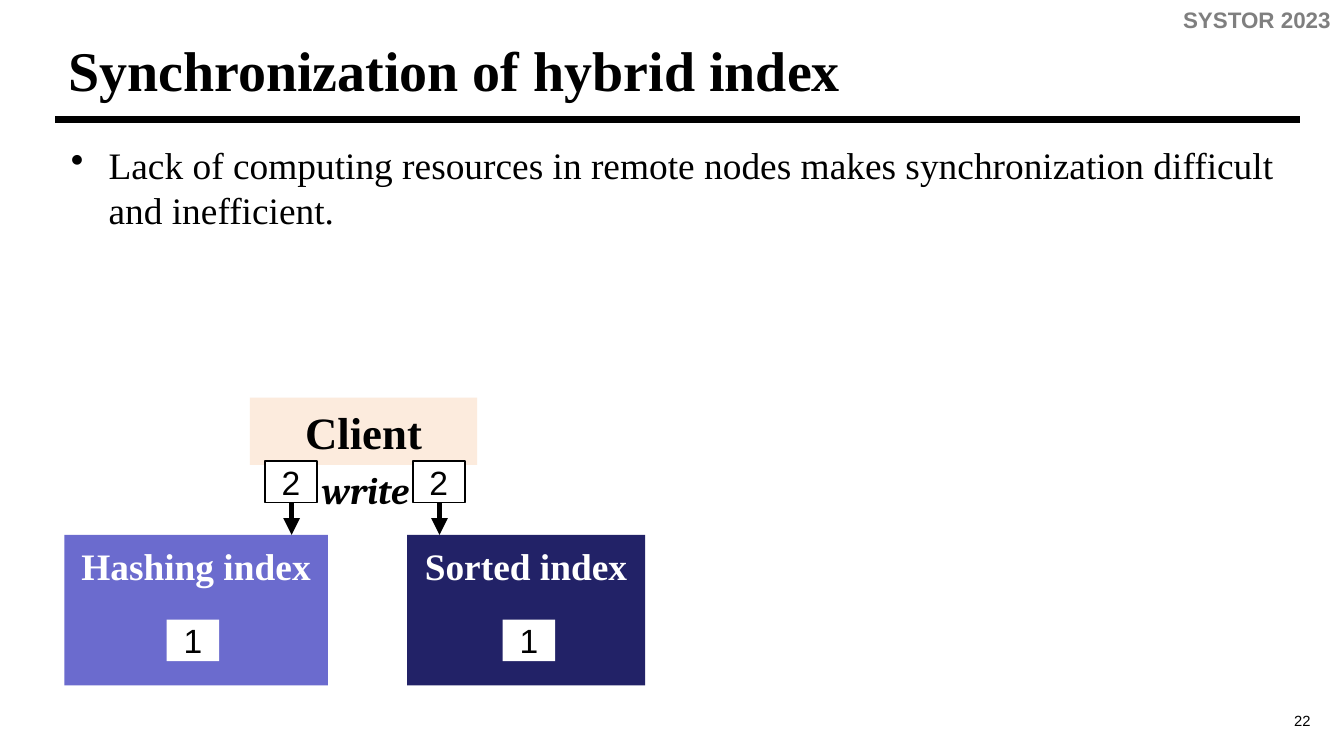
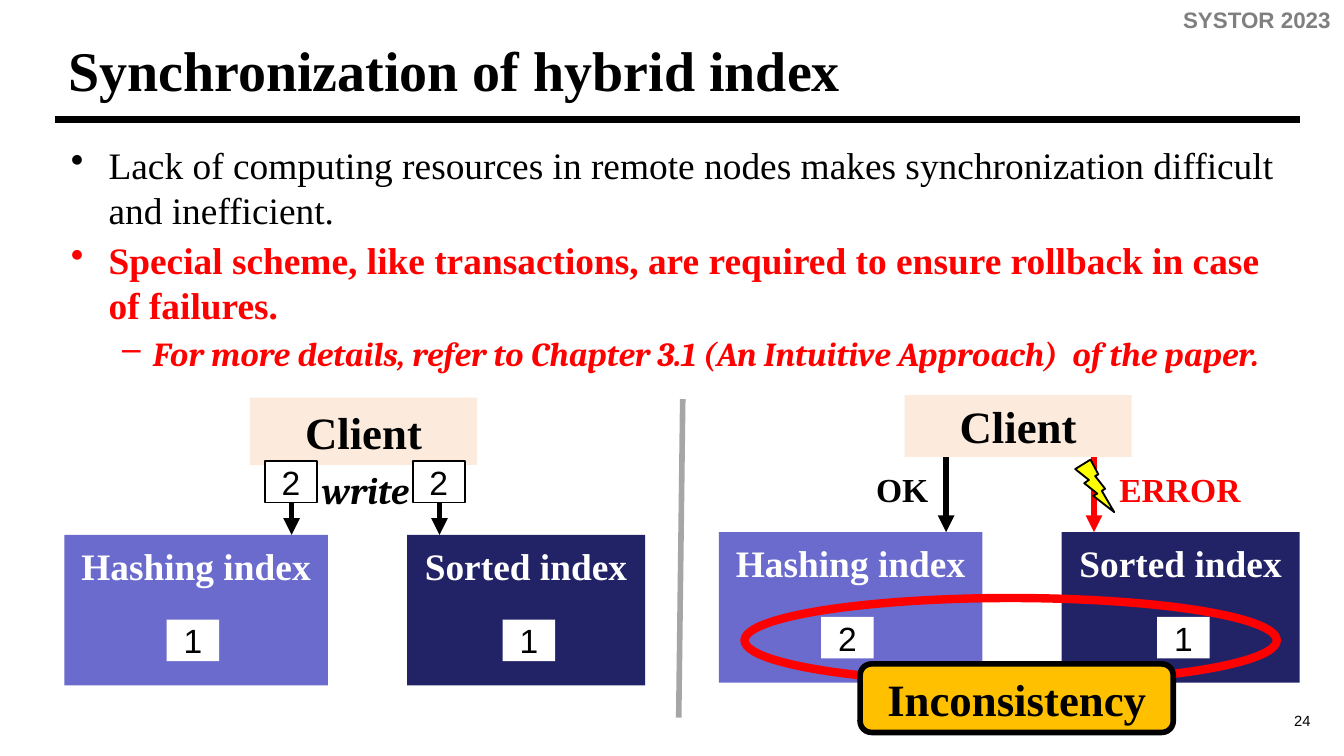
"""Builds two slides on keeping a hybrid index synchronized."""
from lxml import etree
from pptx import Presentation
from pptx.dml.color import RGBColor
from pptx.enum.shapes import MSO_CONNECTOR, MSO_SHAPE
from pptx.enum.text import MSO_ANCHOR, PP_ALIGN
from pptx.oxml.ns import qn
from pptx.util import Pt

PX = 9144
RECT, ROUNDED = MSO_SHAPE.RECTANGLE, MSO_SHAPE.ROUNDED_RECTANGLE
ELLIPSE, BOLT = MSO_SHAPE.OVAL, MSO_SHAPE.LIGHTNING_BOLT
STRAIGHT = MSO_CONNECTOR.STRAIGHT
TOP, MIDDLE = MSO_ANCHOR.TOP, MSO_ANCHOR.MIDDLE
LEFT, CENTER, RIGHT = PP_ALIGN.LEFT, PP_ALIGN.CENTER, PP_ALIGN.RIGHT
SERIF, SANS, ACCENT = "Times New Roman", "Arial", "Cambria"
BLACK, WHITE, RED, GRAY, RULE_GRAY = "000000", "FFFFFF", "FF0000", "7F7F7F", "A6A6A6"
VIOLET, NAVY, PEACH, YELLOW, AMBER = "6B6BCE", "222267", "FCEBDD", "FFFF00", "FFC000"
color = RGBColor.from_string


def add_text(page, text, at=None, box=None, shape=None, fill=None, line=None, weight=1,
             font=SERIF, size=20, ink=BLACK, bold=False, italic=False,
             align=CENTER, anchor=TOP, inset=5):
    """Write a paragraph in a new text box or shape, or add it to a given box."""
    if box is None:
        place = [value * PX for value in at]
        box = page.shapes.add_shape(shape, *place) if shape else page.shapes.add_textbox(*place)
        if shape:
            box.shadow.inherit = False
        if fill:
            box.fill.solid()
            box.fill.fore_color.rgb = color(fill)
        else:
            box.fill.background()
        if line:
            box.line.color.rgb = color(line)
            box.line.width = Pt(weight)
        else:
            box.line.fill.background()
        frame = box.text_frame
        frame.word_wrap = True
        frame.vertical_anchor = anchor
        frame.margin_top = inset * PX
        para = frame.paragraphs[0]
    else:
        para = box.text_frame.add_paragraph()
    if text:
        para.alignment = align
        span = para.add_run()
        span.text = text
        span.font.name, span.font.size = font, Pt(size)
        span.font.bold, span.font.italic = bold, italic
        span.font.color.rgb = color(ink)
    return box


def add_line(page, start, end, ink=BLACK, weight=3, arrow=False):
    """Draw a straight line, with an arrowhead at its end if asked."""
    ends = [value * PX for value in (*start, *end)]
    connector = page.shapes.add_connector(STRAIGHT, *ends)
    connector.line.color.rgb = color(ink)
    connector.line.width = Pt(weight)
    if arrow:
        etree.SubElement(connector.line._get_or_add_ln(), qn("a:tailEnd"), type="triangle")
    etree.SubElement(connector._element.spPr, qn("a:effectLst"))


deck = Presentation()
deck.slide_width = 1000 * PX
deck.slide_height = deck.slide_width * 9 // 16

bullets = [
    ("Lack of computing resources in remote nodes makes synchronization difficult "
     "and inefficient.", "•", 28, 28, {}),
    ("Special scheme, like transactions, are required to ensure rollback in case "
     "of failures.", "•", 28, 28, {"ink": RED, "bold": True}),
    ("For more details, refer to Chapter 3.1 (An Intuitive Approach)  of the paper.", "–", 61, 23,
     {"ink": RED, "bold": True, "italic": True, "font": ACCENT, "size": 18}),
]
before = {"left": 0, "top": 0, "client_height": 50, "values": "11", "inks": (BLACK, BLACK)}
after = {"left": 487, "top": -2, "client_height": 46, "values": "21", "inks": (BLACK, RED)}
slides = [("22", bullets[:1], [before]), ("24", bullets, [before, after])]

for number, points, panels in slides:
    page = deck.slides.add_slide(deck.slide_layouts[6])
    add_text(page, "SYSTOR 2023", (723, 0, 277, 30), font=SANS, size=12, ink=GRAY,
             bold=True, align=RIGHT)
    body = None
    for text, mark, margin, hang, style in points:
        body = add_text(page, text, (43, 101, 924, 433), box=body, align=LEFT, **style)
        para = body.text_frame.paragraphs[-1]
        para.space_before = Pt(3)
        properties = para._p.get_or_add_pPr()
        properties.set("marL", str(margin * PX))
        properties.set("indent", str(-hang * PX))
        etree.SubElement(properties, qn("a:buChar"), char=mark)
    add_text(page, "Synchronization of hybrid index", (41, 14, 862, 75), size=30, bold=True,
             align=LEFT, anchor=MIDDLE)
    add_text(page, number, (940, 525, 58, 33), font=SANS, size=7.9)
    add_line(page, (41, 89), (967, 89), weight=4)

    for panel in panels:
        left, top = panel["left"], panel["top"]
        indexes = [("Hashing index", 48, 196, VIOLET, 124, 217),
                   ("Sorted index", 303, 177, NAVY, 374, 327)]
        for (name, x, width, fill, value_x, arrow_x), value, ink in zip(
                indexes, panel["values"], panel["inks"]):
            add_text(page, name, (left + x, top + 398, width, 112), shape=RECT, fill=fill,
                     ink=WHITE, bold=True, inset=6)
            add_text(page, value, (left + value_x, top + 461, 39, 31), shape=RECT, fill=WHITE,
                     font=SANS, size=18, anchor=MIDDLE)
            add_line(page, (left + arrow_x, top + 330), (left + arrow_x, top + 398),
                     ink=ink, arrow=True)
        add_text(page, "Client", (left + 186, top + 296, 169, panel["client_height"]),
                 shape=RECT, fill=PEACH, size=24, bold=True, anchor=MIDDLE)

    add_text(page, "write", (221, 343, 102, 44), font=ACCENT, bold=True, italic=True)
    for x in (197, 307):
        add_text(page, "2", (x, 343, 39, 31), shape=RECT, fill=WHITE, line=BLACK,
                 font=SANS, size=18, anchor=MIDDLE)

    if after in panels:
        add_line(page, (508, 297), (505, 534), ink=RULE_GRAY)
        add_text(page, "", (554, 445, 396, 63), shape=ELLIPSE, line=RED, weight=4.5)
        add_text(page, "OK", (642, 344, 75, 40), size=18, bold=True, align=LEFT)
        add_text(page, "ERROR", (823, 344, 118, 40), size=18, ink=RED, bold=True, align=LEFT)
        add_text(page, "", (800, 342, 29, 39), shape=BOLT, fill=YELLOW, line=BLACK)
        add_text(page, "Inconsistency", (640, 494, 233, 51), shape=ROUNDED, fill=AMBER,
                 line=BLACK, weight=3, size=24, bold=True, anchor=MIDDLE)

deck.save("out.pptx")
